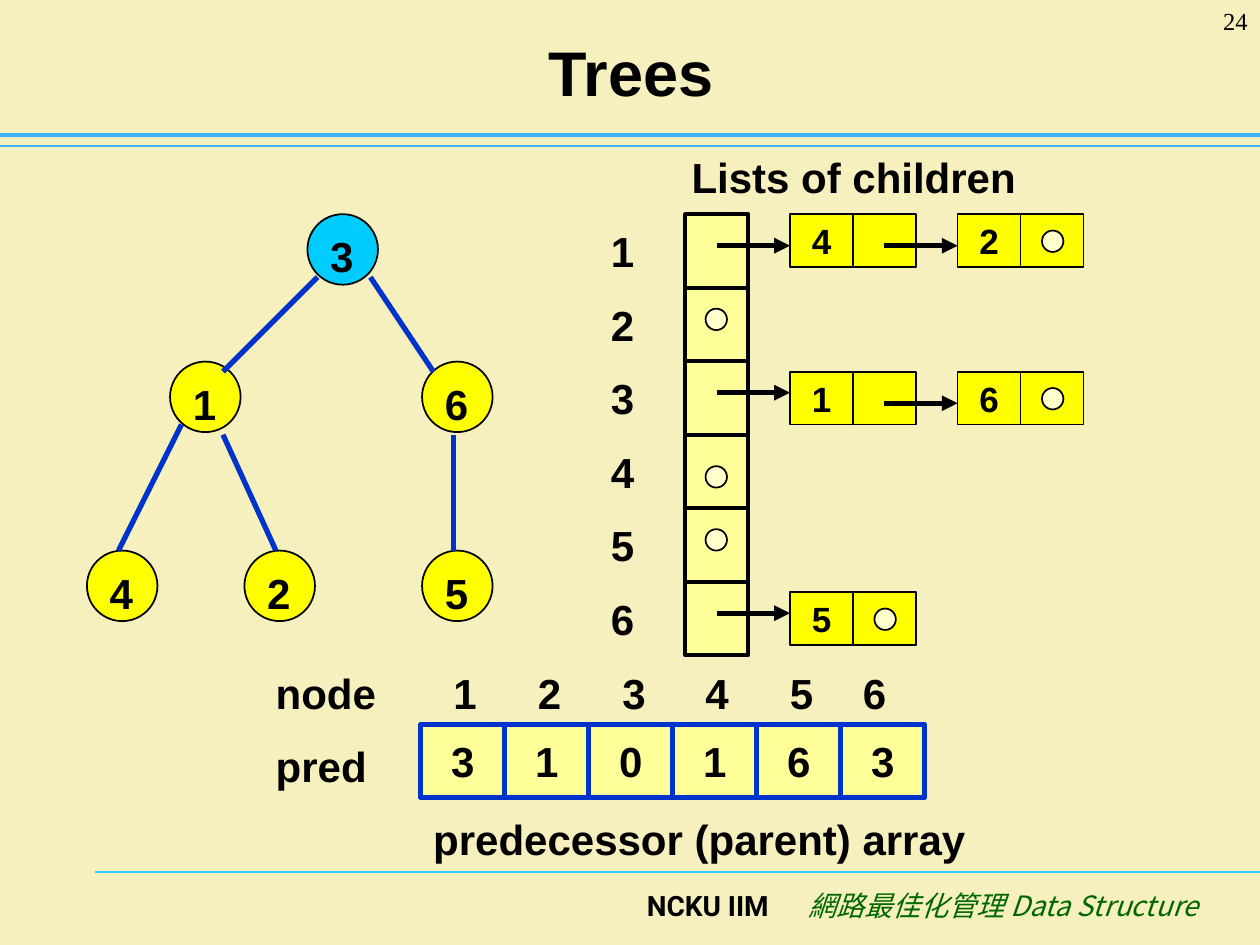
from lxml import etree
from pptx import Presentation
from pptx.dml.color import RGBColor
from pptx.enum.shapes import MSO_CONNECTOR, MSO_SHAPE
from pptx.enum.text import MSO_ANCHOR, PP_ALIGN
from pptx.oxml.ns import qn
from pptx.util import Inches, Pt

STRAIGHT = MSO_CONNECTOR.STRAIGHT
RECT, OVAL = MSO_SHAPE.RECTANGLE, MSO_SHAPE.OVAL
TOP, MIDDLE = MSO_ANCHOR.TOP, MSO_ANCHOR.MIDDLE
LEFT, CENTER, RIGHT = PP_ALIGN.LEFT, PP_ALIGN.CENTER, PP_ALIGN.RIGHT

COLORS = {
    "background": "F5F0BD", "black": "000000", "green": "006600",
    "rule": "3DB0FF", "footer rule": "33CCFF", "blue": "0033CC",
    "root": "00CCFF", "yellow": "FFFF00", "cell": "FFFF99", "null": "FFFFCC",
}


def color(name):
    return RGBColor.from_string(COLORS[name])


class SlideBuilder:
    """Holds the current page and the text style shared by its elements."""

    def __init__(self, page, font="Arial", size=24):
        self.page, self.font, self.size = page, font, size
        page.background.fill.solid()
        page.background.fill.fore_color.rgb = color("background")

    def set_text(self, shape, text, size=None, font=None, ink="black", bold=True,
                 italic=False, align=LEFT, anchor=TOP, wrap=True):
        frame = shape.text_frame
        frame.word_wrap, frame.vertical_anchor = wrap, anchor
        para = frame.paragraphs[0]
        para.text, para.alignment = text, align
        style = para.font
        style.name, style.size = font or self.font, Pt(size or self.size)
        style.bold, style.italic = bold, italic
        style.color.rgb = color(ink)
        # East Asian characters take their typeface from a:ea
        latin = para._p.pPr.find(".//" + qn("a:latin"))
        latin.addnext(latin.makeelement(qn("a:ea"), {"typeface": style.name}))

    def text(self, x, y, width, height, text, **style):
        box = self.page.shapes.add_textbox(
            Inches(x), Inches(y), Inches(width), Inches(height))
        self.set_text(box, text, **style)

    def shape(self, kind, x, y, width, height, fill, outline="black", weight=1,
              text="", **style):
        shape = self.page.shapes.add_shape(
            kind, Inches(x), Inches(y), Inches(width), Inches(height))
        shape.shadow.inherit = False
        shape.fill.solid()
        shape.fill.fore_color.rgb = color(fill)
        shape.line.color.rgb = color(outline)
        shape.line.width = Pt(weight)
        if text:
            self.set_text(shape, text, **style)

    def line(self, x1, y1, x2, y2, ink, weight, arrow=False):
        line = self.page.shapes.add_connector(
            STRAIGHT, Inches(x1), Inches(y1), Inches(x2), Inches(y2))
        line.line.color.rgb = color(ink)
        line.line.width = Pt(weight)
        if arrow:
            etree.SubElement(line.line._get_or_add_ln(), qn("a:tailEnd"), type="triangle")
        etree.SubElement(line._element.spPr, qn("a:effectLst"))

    def tree_node(self, x, y, label, fill="yellow"):
        self.shape(OVAL, x, y, 0.56, 0.56, fill, text=label)

    def null(self, x, y):
        """Small circle that stands for an empty pointer."""
        self.shape(OVAL, x, y, 0.17, 0.17, "null")

    def pointer(self, x, y):
        self.line(x, y, x + 0.58, y, "black", 3, arrow=True)

    def linked_list(self, x, y, labels):
        """Two-part boxes: a label, then a pointer to the next box or a null."""
        for index, label in enumerate(labels):
            left = x + index * 1.33
            self.shape(RECT, left, y, 0.5, 0.42, "yellow", text=label, size=20,
                       align=CENTER, anchor=MIDDLE, wrap=False)
            self.shape(RECT, left + 0.5, y, 0.5, 0.42, "yellow")
            if index < len(labels) - 1:
                self.pointer(left + 0.75, y + 0.25)
            else:
                self.null(left + 0.67, y + 0.13)


def add_frame(builder):
    builder.line(0.75, 6.92, 10, 6.92, "footer rule", 0.75)
    builder.line(0, 1.16, 10, 1.16, "rule", 0.75)
    builder.line(0, 1.07, 10, 1.07, "rule", 2.5)
    builder.text(4.2, 7, 2, 0.5, "NCKU IIM", size=16, font="Roboto", align=RIGHT)
    builder.text(6.2, 7, 3.41, 0.5, "網路最佳化管理 Data Structure", size=16,
                 font="Noto Sans CJK SC", ink="green", bold=False,
                 italic=True, align=RIGHT)
    builder.text(0.51, 0.13, 9, 0.87, "Trees", size=36, align=CENTER, anchor=MIDDLE)
    builder.text(9.17, 0, 0.83, 0.5, "24", size=14, font="Times New Roman",
                 bold=False, align=RIGHT)


def add_tree(builder):
    nodes = {"1": (1.35, 2.87), "2": (1.94, 4.37), "6": (3.35, 2.87),
             "5": (3.35, 4.37), "4": (0.69, 4.37)}
    for label, (x, y) in nodes.items():
        builder.tree_node(x, y, label)
    edges = [(2.52, 2.2, 1.77, 2.95), (2.94, 2.2, 3.44, 2.95),
             (1.44, 3.37, 0.94, 4.37), (1.77, 3.45, 2.19, 4.37),
             (3.6, 3.45, 3.6, 4.37)]
    for edge in edges:
        builder.line(*edge, "blue", 3)
    builder.tree_node(2.44, 1.7, "3", "root")


def add_children_lists(builder):
    builder.text(5.39, 1.15, 3.58, 0.5, "Lists of children")
    # Per node: top of its list and the children, or top of its null circle
    rows = [(1.7, "42"), (2.45, ""), (2.95, "16"), (3.7, ""), (4.2, ""), (4.7, "5")]
    pitch = 3.5 / len(rows)
    for index, (top, children) in enumerate(rows):
        y = 1.7 + index * pitch
        builder.shape(RECT, 5.44, y, 0.5, pitch, "cell", weight=2.25)
        builder.text(4.69, y, 0.5, pitch, str(index + 1),
                     align=CENTER, anchor=MIDDLE, wrap=False)
        if children:
            builder.pointer(5.69, y + 0.25)
            builder.linked_list(6.27, top, children)
        else:
            builder.null(5.6, top)


def add_predecessor_array(builder):
    builder.text(3.34, 6.41, 4.66, 0.5, "predecessor (parent) array")
    pitch = 4 / 6
    for index, parent in enumerate("310163"):
        builder.shape(RECT, 3.34 + index * pitch, 5.75, pitch, 0.58, "cell", "blue", 3,
                      text=parent, align=CENTER, anchor=MIDDLE, wrap=False)
    for index, x in enumerate([3.5, 4.17, 4.84, 5.5, 6.17, 6.75]):
        builder.text(x, 5.25, 0.42, 0.5, str(index + 1))
    builder.text(2.09, 5.25, 1.67, 0.5, "node")
    builder.text(2.09, 5.83, 1.67, 0.5, "pred")


def main():
    deck = Presentation()
    deck.slide_width, deck.slide_height = Inches(10), Inches(7.5)
    builder = SlideBuilder(deck.slides.add_slide(deck.slide_layouts[6]))
    add_frame(builder)
    add_tree(builder)
    add_children_lists(builder)
    add_predecessor_array(builder)
    deck.save("out.pptx")


if __name__ == "__main__":
    main()
